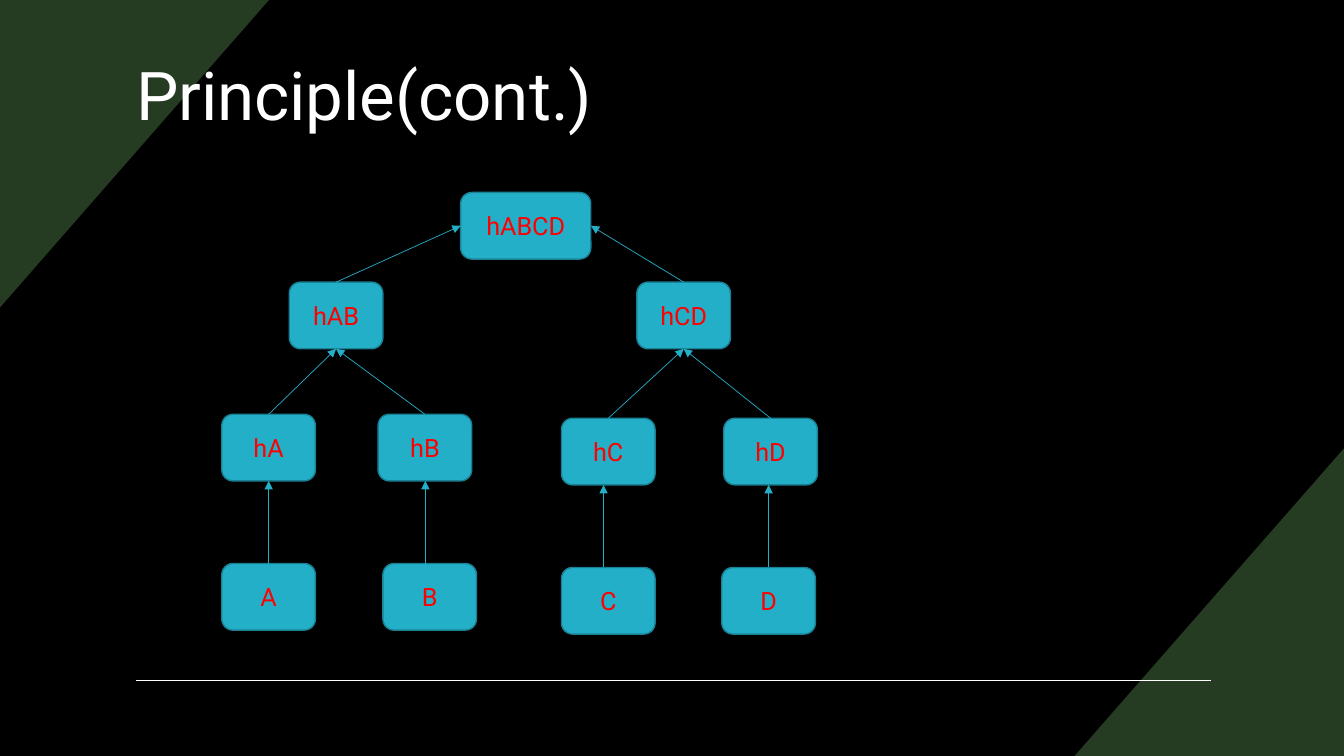
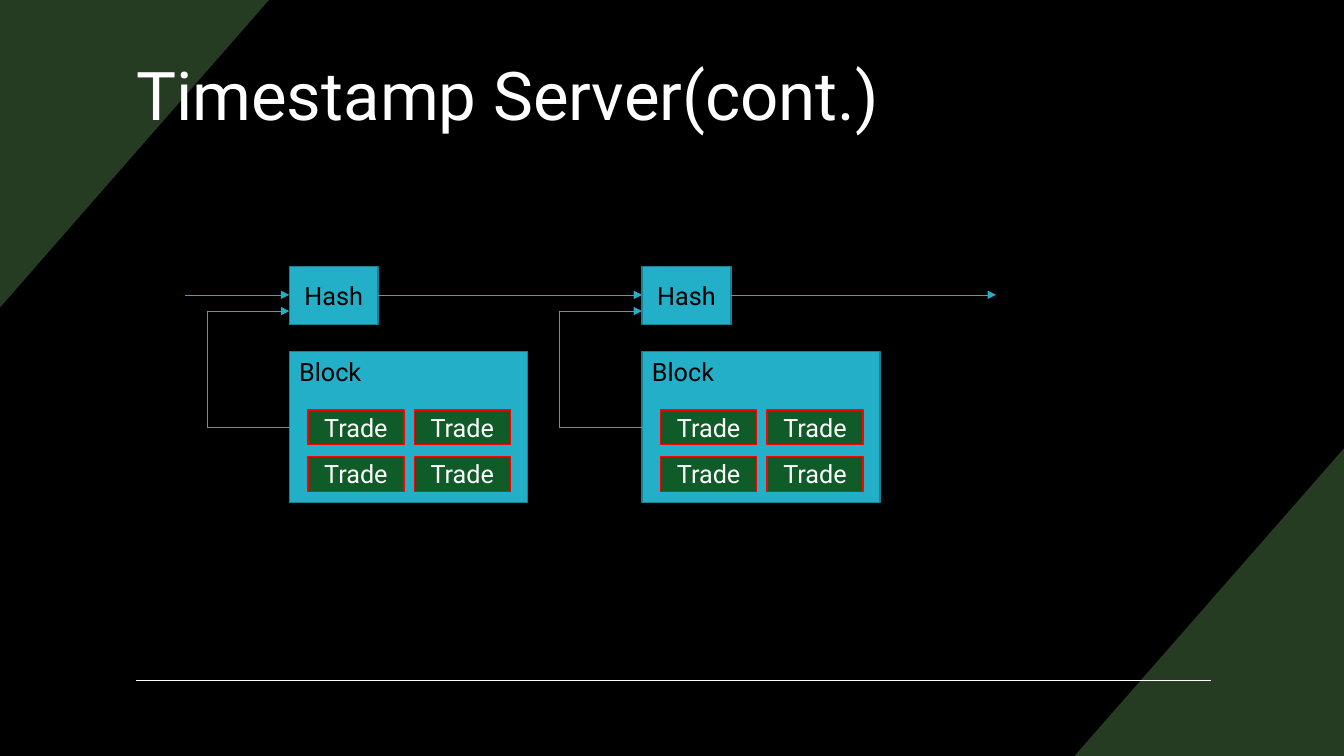
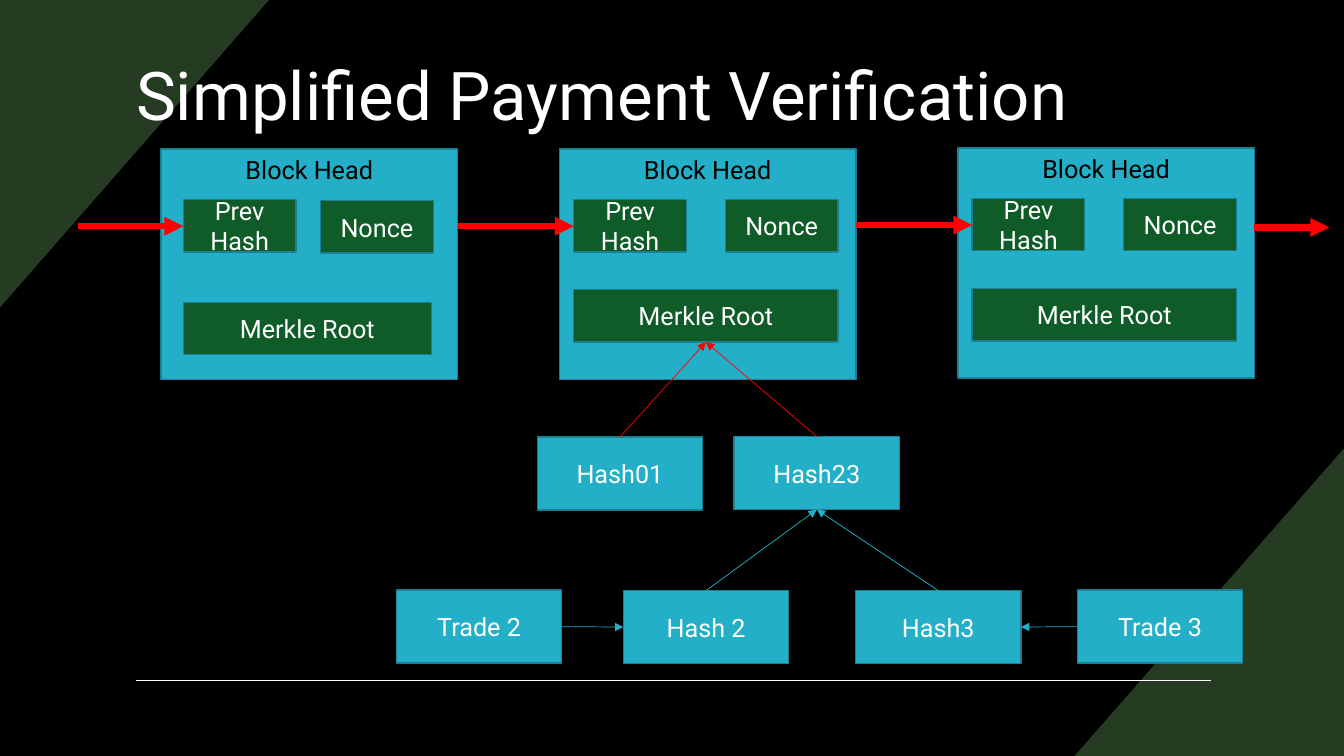
import pptx
import pptx.util
import pptx.dml.color
import pptx.enum.shapes
import pptx.enum.text
import pptx.oxml
import pptx.oxml.ns

Cm = pptx.util.Cm
Pt = pptx.util.Pt
SHAPE = pptx.enum.shapes.MSO_SHAPE
CONNECTOR = pptx.enum.shapes.MSO_CONNECTOR
ALIGN = pptx.enum.text.PP_ALIGN
ANCHOR = pptx.enum.text.MSO_ANCHOR

COLORS = {
    "background": "000000", "corner": "253C22", "white": "FFFFFF", "black": "000000",
    "teal": "23AFC8", "teal_edge": "1A8194", "green": "105C28", "red": "FF0000",
}
FONT = "Roboto"
SLIDE_W, SLIDE_H = 33.87, 19.05
TOP, LEFT, BOTTOM, RIGHT = range(4)  # connection sites of a rectangle

# Content shared by all slides; lengths in cm
CORNERS = [
    [(33.87, 11.3), (33.87, 19.05), (27.08, 19.05)],
    [(0, 7.75), (0, 0), (6.78, 0)],
]
FOOTER_LINE = ((3.43, 17.15), (30.53, 17.15))
TITLE_BOX = (3.18, 0.46, 27.51, 3.78)

# Slide 1: hash tree
TREE_TITLE = "Principle(cont.)"
TREE_BOX = (2.36, 1.68)
ROOT_WIDTH = 3.28
TREE_NODES = {
    "A": (5.59, 14.2), "B": (9.65, 14.2), "C": (14.15, 14.3), "D": (18.19, 14.3),
    "hA": (5.59, 10.44), "hB": (9.53, 10.44), "hC": (14.15, 10.54), "hD": (18.24, 10.54),
    "hAB": (7.29, 7.11), "hCD": (16.05, 7.11), "hABCD": (11.61, 4.85),
}
LEAF_ARROWS = {"A": 6.77, "B": 10.72, "C": 15.21, "D": 19.37}
TREE_LINKS = [
    ("hA", "hAB", BOTTOM), ("hB", "hAB", BOTTOM),
    ("hC", "hCD", BOTTOM), ("hD", "hCD", BOTTOM),
    ("hAB", "hABCD", LEFT), ("hCD", "hABCD", RIGHT),
]

# Slide 2: chain of hashed blocks
CHAIN_TITLE = "Timestamp Server(cont.)"
CHAIN_X = [7.29, 16.18]
CHAIN_START, CHAIN_END, CHAIN_Y = 4.67, 25.1, 7.43
HASH_BOX = (6.71, 2.24, 1.47)
BLOCK_BOX = (8.86, 6.0, 3.8)
TRADE_BOX = (2.42, 0.88)
TRADE_X, TRADE_Y = (0.47, 3.15), (10.33, 11.5)
LOOP_FROM_Y, LOOP_TO_Y, LOOP_REACH = 10.77, 7.84, 2.07

# Slide 3: block heads and Merkle branch
PAYMENT_TITLE = "Simplified Payment Verification"
HEAD_SIZE = (7.47, 5.8)
FIELD_W, FIELD_H = 2.84, 1.32
BLOCK_HEADS = [
    {"at": (4.06, 3.76), "prev": (4.62, 5.03), "nonce": (8.08, 5.06), "root": (4.62, 7.62, 6.25)},
    {"at": (14.1, 3.76), "prev": (14.46, 5.03), "nonce": (18.28, 5.03), "root": (14.46, 7.3, 6.66)},
    {"at": (24.14, 3.73), "prev": (24.5, 5.0), "nonce": (28.32, 5.0), "root": (24.5, 7.27, 6.66)},
]
HEAD_ARROWS = [(1.96, 4.62, 5.7), (11.53, 14.46, 5.7), (21.57, 24.5, 5.67), (31.61, 33.5, 5.73)]
BRANCH_SIZE = (4.17, 1.84)
BRANCH_NODES = {
    "Hash01": (13.54, 11.01), "Hash23": (18.5, 11.0),
    "Hash 2": (15.71, 14.88), "Hash3": (21.56, 14.88),
    "Trade 2": (9.99, 14.87), "Trade 3": (27.15, 14.87),
}
BRANCH_LINKS = [
    ("Hash01", TOP, "Merkle Root", BOTTOM, "red"), ("Hash23", TOP, "Merkle Root", BOTTOM, "red"),
    ("Hash 2", TOP, "Hash23", BOTTOM, "teal"), ("Hash3", TOP, "Hash23", BOTTOM, "teal"),
    ("Trade 2", RIGHT, "Hash 2", LEFT, "teal"), ("Trade 3", LEFT, "Hash3", RIGHT, "teal"),
]


def rgb(name):
    return pptx.dml.color.RGBColor.from_string(COLORS[name])


def write(shape, text, color, size=18, align=ALIGN.CENTER, anchor=ANCHOR.MIDDLE):
    frame = shape.text_frame
    frame.word_wrap = True
    frame.vertical_anchor = anchor
    paragraph = frame.paragraphs[0]
    paragraph.alignment = align
    run = paragraph.add_run()
    run.text = text
    for attribute, value in {"name": FONT, "size": Pt(size)}.items():
        setattr(run.font, attribute, value)
    run.font.color.rgb = rgb(color)


def box(slide, text, at, size, color="white", fill="teal", edge="teal_edge",
        kind=SHAPE.RECTANGLE, **layout):
    shape = slide.shapes.add_shape(kind, *map(Cm, (*at, *size)))
    shape.shadow.inherit = False
    shape.fill.solid()
    shape.fill.fore_color.rgb = rgb(fill)
    shape.line.color.rgb = rgb(edge)
    shape.line.width = Pt(1)
    write(shape, text, color, **layout)
    return shape


def line(slide, start=(0, 0), end=(0, 0), color="teal", width=0.5, arrow=True,
         kind=CONNECTOR.STRAIGHT):
    connector = slide.shapes.add_connector(kind, *map(Cm, (*start, *end)))
    connector.line.color.rgb = rgb(color)
    connector.line.width = Pt(width)
    if arrow:
        head = pptx.oxml.ns.qn("a:tailEnd")
        connector.line._get_or_add_ln().append(
            connector._element.makeelement(head, {"type": "triangle"}))
    properties = connector._element.spPr
    properties.append(properties.makeelement(pptx.oxml.ns.qn("a:effectLst"), {}))
    return connector


def link(slide, source, source_site, target, target_site, color="teal"):
    connector = line(slide, color=color)
    connector.begin_connect(source, source_site)
    connector.end_connect(target, target_site)


def loop(slide, x):
    """Arrow that leaves a block on its left and turns back into the hash above."""
    width = 0.04
    connector = line(slide, (x + width, LOOP_FROM_Y), (x, LOOP_TO_Y), kind=CONNECTOR.ELBOW)
    geometry = connector._element.spPr.find(pptx.oxml.ns.qn("a:prstGeom"))
    guides = geometry.get_or_add_avLst()
    ratio = round((LOOP_REACH + width) / width * 100000)
    guides.append(guides.makeelement(
        pptx.oxml.ns.qn("a:gd"), {"name": "adj1", "fmla": f"val {ratio}"}))


def new_slide(deck, title):
    slide = deck.slides.add_slide(deck.slide_layouts[6])
    for corner in CORNERS:
        points = [(Cm(x), Cm(y)) for x, y in corner]
        builder = slide.shapes.build_freeform(*points[0])
        builder.add_line_segments(points[1:], close=True)
        triangle = builder.convert_to_shape()
        triangle.shadow.inherit = False
        triangle.fill.solid()
        triangle.fill.fore_color.rgb = rgb("corner")
        triangle.line.fill.background()
    line(slide, *FOOTER_LINE, color="white", width=1, arrow=False)
    heading = slide.shapes.add_textbox(*map(Cm, TITLE_BOX))
    write(heading, title, "white", size=48, align=ALIGN.LEFT)
    return slide


def tree_slide(deck):
    slide = new_slide(deck, TREE_TITLE)
    width, height = TREE_BOX
    nodes = {
        name: box(slide, name, at, (ROOT_WIDTH if name == "hABCD" else width, height),
                  color="red", kind=SHAPE.ROUNDED_RECTANGLE)
        for name, at in TREE_NODES.items()
    }
    for leaf, x in LEAF_ARROWS.items():
        hash_bottom = TREE_NODES["h" + leaf][1] + height
        line(slide, (x, TREE_NODES[leaf][1]), (x, hash_bottom))
    for child, parent, site in TREE_LINKS:
        link(slide, nodes[child], TOP, nodes[parent], site)


def chain_slide(deck):
    slide = new_slide(deck, CHAIN_TITLE)
    hash_y, hash_w, hash_h = HASH_BOX
    block_y, block_w, block_h = BLOCK_BOX
    for x in CHAIN_X:
        box(slide, "Hash", (x, hash_y), (hash_w, hash_h), color="black")
        box(slide, "Block", (x, block_y), (block_w, block_h), color="black",
            align=ALIGN.LEFT, anchor=ANCHOR.TOP)
        for y in TRADE_Y:
            for offset in TRADE_X:
                box(slide, "Trade", (x + offset, y), TRADE_BOX, fill="green", edge="red")
        loop(slide, x)
    starts = [CHAIN_START] + [x + hash_w for x in CHAIN_X]
    for start, end in zip(starts, CHAIN_X + [CHAIN_END]):
        line(slide, (start, CHAIN_Y), (end, CHAIN_Y))


def payment_slide(deck):
    slide = new_slide(deck, PAYMENT_TITLE)
    roots = []
    for head in BLOCK_HEADS:
        box(slide, "Block Head", head["at"], HEAD_SIZE, color="black", anchor=ANCHOR.TOP)
        for text, field in (("Prev Hash", "prev"), ("Nonce", "nonce")):
            box(slide, text, head[field], (FIELD_W, FIELD_H), fill="green")
        x, y, width = head["root"]
        roots.append(box(slide, "Merkle Root", (x, y), (width, FIELD_H), fill="green"))
    for start, end, y in HEAD_ARROWS:
        line(slide, (start, y), (end, y), color="red", width=4.5)
    nodes = {name: box(slide, name, at, BRANCH_SIZE) for name, at in BRANCH_NODES.items()}
    nodes["Merkle Root"] = roots[1]
    for source, source_site, target, target_site, color in BRANCH_LINKS:
        link(slide, nodes[source], source_site, nodes[target], target_site, color)


def main():
    deck = pptx.Presentation()
    deck.slide_width, deck.slide_height = Cm(SLIDE_W), Cm(SLIDE_H)
    backdrop = deck.slide_master.background.fill
    backdrop.solid()
    backdrop.fore_color.rgb = rgb("background")
    for build in (tree_slide, chain_slide, payment_slide):
        build(deck)
    deck.save("out.pptx")


if __name__ == "__main__":
    main()
